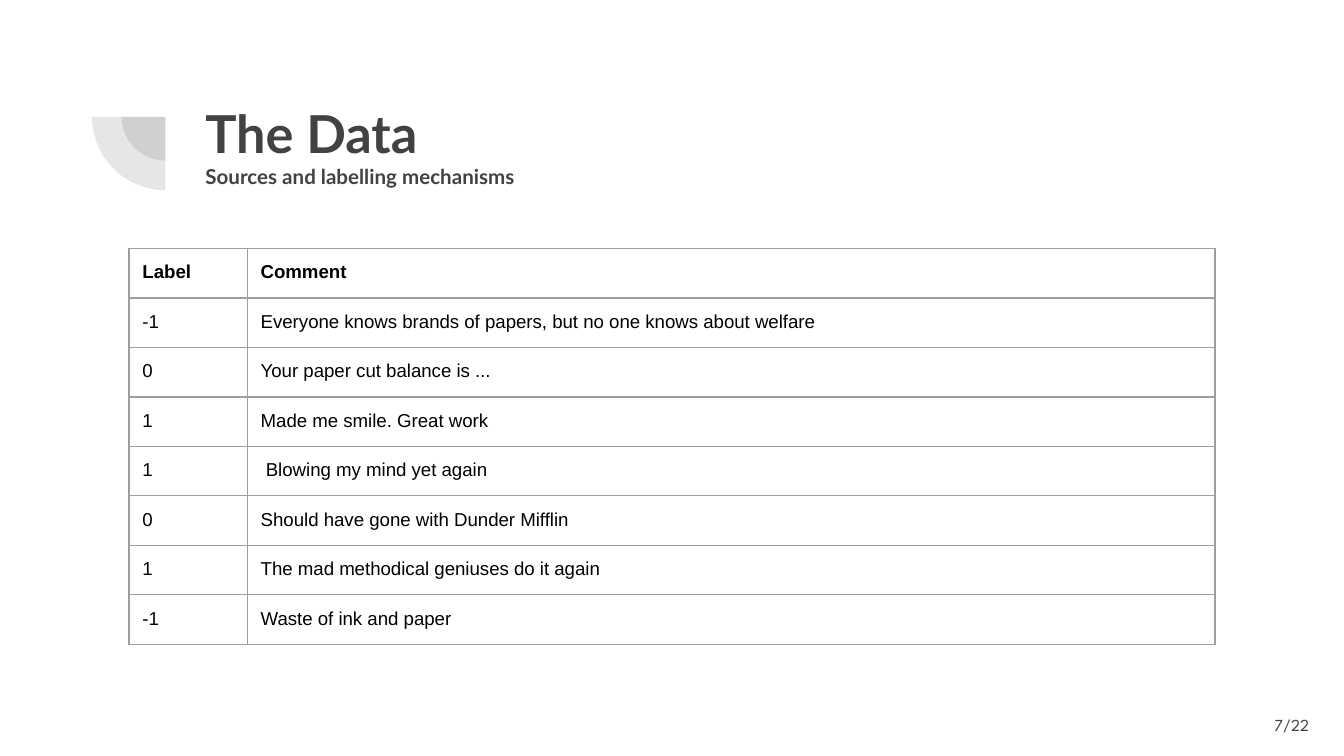
from lxml.etree import SubElement
from pptx import Presentation
from pptx.dml.color import RGBColor
from pptx.enum.shapes import MSO_SHAPE as SHAPE
from pptx.enum.text import MSO_ANCHOR as ANCHOR, PP_ALIGN as ALIGN
from pptx.oxml import parse_xml
from pptx.oxml.ns import nsdecls, qn
from pptx.util import Inches, Pt

GREY, BLACK, BORDER = "424242", "000000", "9E9E9E"
INSET = 0.1

TITLE = [
    ("The Data", dict(name="Lato", size=Pt(28), bold=True)),
    ("Sources and labelling mechanisms", dict(name="Lato", size=Pt(11), bold=True)),
]
PAGE = [("7/22", dict(name="League Spartan", size=Pt(9)))]
# Minimum row height, label, comment
ROWS = [
    (0.31, "Label", "Comment"),
    (0.31, "-1", "Everyone knows brands of papers, but no one knows about welfare"),
    (0.37, "0", "Your paper cut balance is ..."),
    (0.33, "1", "Made me smile. Great work"),
    (0.36, "1", " Blowing my mind yet again"),
    (0.31, "0", "Should have gone with Dunder Mifflin"),
    (0.37, "1", "The mad methodical geniuses do it again"),
    (0.31, "-1", "Waste of ink and paper"),
]
COL_WIDTHS = (0.88, 7.2)
TABLE_BOX = (0.96, 1.85, 3.28, 3.28)
QUARTER_CENTER = (1.23, 0.87)
QUARTER_SIZES = (0.65, 1.09)


def rgb(value):
    return RGBColor.from_string(value)


def set_margins(target):
    for side in ("left", "right", "top", "bottom"):
        setattr(target, f"margin_{side}", Inches(INSET))


def write(p, text, color, fmt):
    r = p.add_run()
    r.text = text
    r.font.color.rgb = rgb(color)
    for name, value in fmt.items():
        setattr(r.font, name, value)


def add_text(slide, box, lines, align=ALIGN.LEFT, anchor=ANCHOR.TOP):
    tf = slide.shapes.add_textbox(*map(Inches, box)).text_frame
    tf.word_wrap = True
    tf.vertical_anchor = anchor
    set_margins(tf)
    for i, (text, fmt) in enumerate(lines):
        p = tf.add_paragraph() if i else tf.paragraphs[0]
        p.alignment = align
        write(p, text, GREY, fmt)


def add_quarter(slide, size):
    """Add a translucent quarter disc hanging below left of the shared center."""
    x, y = (c - size / 2 for c in QUARTER_CENTER)
    sp = slide.shapes.add_shape(SHAPE.PIE, *map(Inches, (x, y, size, size)))
    sp.adjustments[0], sp.adjustments[1] = 108, 162  # 180 to 270 degrees
    sp.rotation = 270
    sp.shadow.inherit = False
    sp.line.fill.background()
    sp.fill.solid()
    sp.fill.fore_color.rgb = rgb(GREY)
    color = next(sp.fill._xPr.iter(qn("a:srgbClr")))
    SubElement(color, qn("a:alpha"), val="13000")


def add_borders(cell):
    tc_pr = cell._tc.get_or_add_tcPr()
    for side in "LRTB":
        tc_pr.append(parse_xml(
            f'<a:ln{side} {nsdecls("a")} w="{Pt(0.75)}"><a:solidFill>'
            f'<a:srgbClr val="{BORDER}"/></a:solidFill></a:ln{side}>'))


def add_comments(slide):
    box = [Inches(n) for n in TABLE_BOX]
    frame = slide.shapes.add_table(len(ROWS), len(COL_WIDTHS), *box)
    table = frame.table
    table.first_row = table.horz_banding = False
    for col, width in zip(table.columns, COL_WIDTHS):
        col.width = Inches(width)
    for i, (height, *texts) in enumerate(ROWS):
        table.rows[i].height = Inches(height)
        for cell, text in zip(table.rows[i].cells, texts):
            set_margins(cell)
            add_borders(cell)
            cell.fill.background()
            write(cell.text_frame.paragraphs[0], text, BLACK,
                  dict(name="Arial", size=Pt(10), bold=i == 0))
    # Resizing rows and columns also resizes the frame
    frame.width, frame.height = box[2:]


def main():
    prs = Presentation()
    prs.slide_width = Inches(10)
    prs.slide_height = prs.slide_width * 9 // 16
    slide = prs.slides.add_slide(prs.slide_layouts[6])
    for size in QUARTER_SIZES:
        add_quarter(slide, size)
    add_text(slide, (1.43, 0.65, 7.69, 1.09), TITLE)
    add_text(slide, (9.24, 5.18, 0.6, 0.43), PAGE, ALIGN.RIGHT, ANCHOR.MIDDLE)
    add_comments(slide)
    prs.save("out.pptx")


if __name__ == "__main__":
    main()
